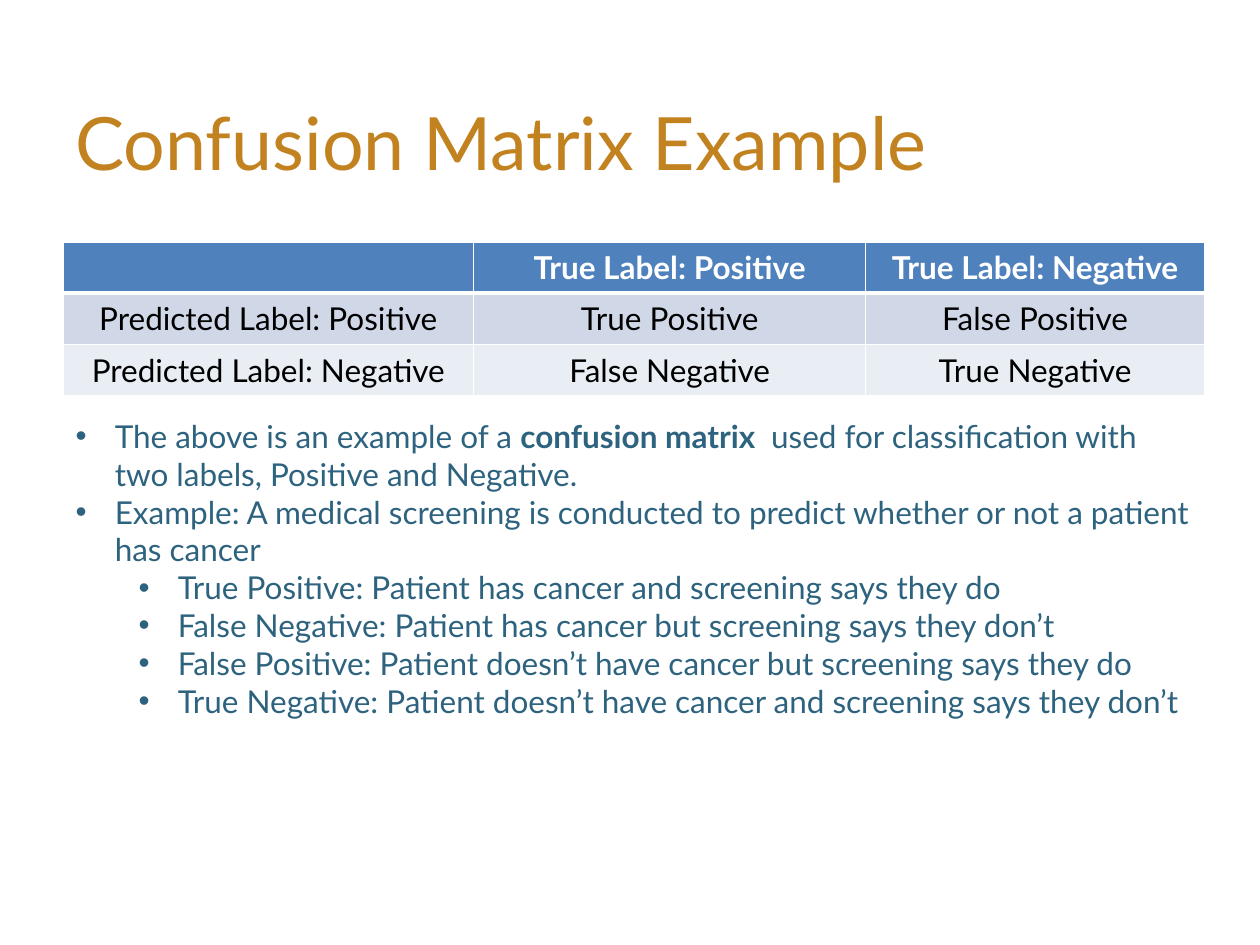
from lxml import etree
from pptx import Presentation
from pptx import util as u
from pptx.dml.color import RGBColor
from pptx.enum import text
from pptx.oxml import ns

LEFT, WIDTH = u.Cm(1.27), u.Cm(23.01)
COLUMN_WIDTHS = [8.28, 7.9, 6.83]
ROW_HEIGHT = 1.03
ROW_FILLS = ["4F81BD", "D0D8E8", "E9EDF4"]
MATRIX = [
    ["", "True Label: Positive", "True Label: Negative"],
    ["Predicted Label: Positive", "True Positive", "False Positive"],
    ["Predicted Label: Negative", "False Negative", "True Negative"],
]
POINTS = [
    (0, ["The above is an example of a ", "confusion matrix ",
         " used for classification with two labels, Positive and Negative."]),
    (0, ["Example: A medical screening is conducted to predict whether or not a patient has cancer"]),
    (1, ["True Positive: Patient has cancer and screening says they do"]),
    (1, ["False Negative: Patient has cancer but screening says they don’t"]),
    (1, ["False Positive: Patient doesn’t have cancer but screening says they do"]),
    (1, ["True Negative: Patient doesn’t have cancer and screening says they don’t"]),
]


def rgb(value):
    return RGBColor.from_string(value)


class Deck:
    font = "Lato"
    title_color = "C28220"
    body_color = "2D637F"
    border_color = "FFFFFF"

    def __init__(self):
        self.presentation = Presentation()
        self.presentation.slide_width = u.Cm(25.4)
        self.presentation.slide_height = u.Cm(19.05)
        self.slide = self.presentation.slides.add_slide(self.presentation.slide_layouts[1])

    def style(self, run, size, color, bold=False):
        run.font.name = self.font
        run.font.size = u.Pt(size)
        run.font.bold = bold
        run.font.color.rgb = rgb(color)

    def place(self, holder, top, height, anchor):
        holder.left, holder.top = LEFT, u.Cm(top)
        holder.width, holder.height = WIDTH, u.Cm(height)
        frame = holder.text_frame
        frame.auto_size = text.MSO_AUTO_SIZE.NONE
        frame.word_wrap = True
        frame.vertical_anchor = anchor
        return frame

    def title(self, heading, top, height):
        frame = self.place(self.slide.shapes.title, top, height, text.MSO_ANCHOR.MIDDLE)
        frame.text = heading
        frame.paragraphs[0].alignment = text.PP_ALIGN.LEFT
        self.style(frame.paragraphs[0].runs[0], 42, self.title_color)

    def bullet(self, paragraph, level):
        paragraph.level = level
        properties = paragraph._p.get_or_add_pPr()
        properties.set("marL", str(u.Cm(0.79 + 1.27 * level)))
        properties.set("indent", str(-u.Cm(0.79)))
        etree.SubElement(properties, ns.qn("a:buFont"), typeface="Arial")
        etree.SubElement(properties, ns.qn("a:buChar"), char="•")
        paragraph.space_before = u.Pt(0)

    def points(self, points, top, height):
        frame = self.place(self.slide.placeholders[1], top, height, text.MSO_ANCHOR.TOP)
        for index, (level, parts) in enumerate(points):
            paragraph = frame.add_paragraph() if index else frame.paragraphs[0]
            self.bullet(paragraph, level)
            for position, part in enumerate(parts):
                run = paragraph.add_run()
                run.text = part
                self.style(run, 18, self.body_color, bold=position == 1)

    def border(self, cell, side, width):
        line = etree.SubElement(cell._tc.get_or_add_tcPr(), ns.qn(f"a:ln{side}"),
                                w=str(u.Pt(width)))
        fill = etree.SubElement(line, ns.qn("a:solidFill"))
        etree.SubElement(fill, ns.qn("a:srgbClr"), val=self.border_color)

    def matrix(self, rows, top):
        table = self.slide.shapes.add_table(
            len(rows), len(rows[0]), LEFT, u.Cm(top), WIDTH, u.Cm(ROW_HEIGHT * len(rows))).table
        for column, width in zip(table.columns, COLUMN_WIDTHS):
            column.width = u.Cm(width)
        for row_index, labels in enumerate(rows):
            table.rows[row_index].height = u.Cm(ROW_HEIGHT)
            header = row_index == 0
            for column_index, label in enumerate(labels):
                cell = table.cell(row_index, column_index)
                top_width = 3 if row_index == 1 else 1
                bottom_width = 3 if header else 1
                for side, width in zip("LRTB", (1, 1, top_width, bottom_width)):
                    self.border(cell, side, width)
                cell.fill.solid()
                cell.fill.fore_color.rgb = rgb(ROW_FILLS[row_index])
                cell.vertical_anchor = text.MSO_ANCHOR.MIDDLE
                cell.text_frame.text = label
                paragraph = cell.text_frame.paragraphs[0]
                paragraph.alignment = text.PP_ALIGN.CENTER
                for run in paragraph.runs:
                    self.style(run, 18, "FFFFFF" if header else "000000", bold=header)


def main():
    deck = Deck()
    deck.title("Confusion Matrix Example", 1.24, 3.2)
    deck.matrix(MATRIX, 4.88)
    deck.points(POINTS, 8.28, 7.19)
    deck.presentation.save("out.pptx")


if __name__ == "__main__":
    main()
